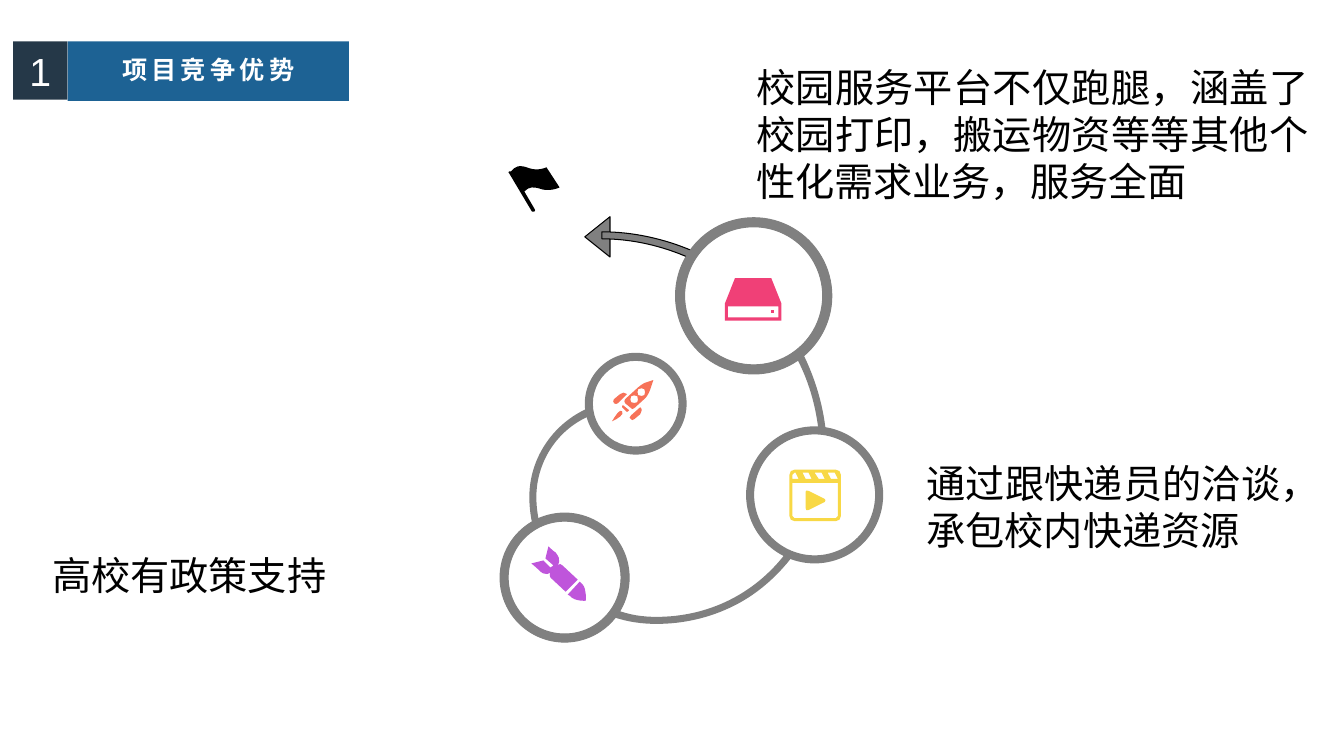
from lxml.etree import SubElement
from pptx import Presentation
from pptx.dml.color import RGBColor
from pptx.enum.shapes import MSO_SHAPE as Preset
from pptx.enum.text import MSO_ANCHOR as Anchor, MSO_AUTO_SIZE as AutoSize, PP_ALIGN as Align
from pptx.oxml.ns import qn
from pptx.util import Inches, Pt

COLORS = {
    "blue": "1D6294", "navy": "253848", "white": "FFFFFF", "black": "000000",
    "gray": "808080", "orange": "F77258", "purple": "BF55DB",
    "yellow": "F8D845", "pink": "F04077",
}
LATIN, HAN = "Arial", "Noto Sans CJK SC"

LINKS = [
    (0.29, 1.91, "M 3 114 C 1 105 0 96 0 87 C 0 50 22 16 56 0 L 59 7 "
                 "C 27 21 7 53 7 87 C 7 96 8 104 10 113 Z"),
    (1.12, 3.33, "M 43 71 C 29 71 14 69 0 64 L 3 57 C 16 62 29 64 43 64 "
                 "C 95 64 141 41 172 0 L 178 4 C 162 25 142 42 120 53 C 96 65 70 71 43 71 Z"),
    (2.93, 1.35, "M 23 78 C 20 52 13 27 0 3 L 7 0 C 19 24 27 50 30 77 Z"),
]
ARROW = [
    "M 25 40 L 0 20 L 25 0 Z",
    "M 104 41 C 77 29 47 22 17 22 L 17 15 C 48 15 79 22 107 34 Z",
]
ROCKET = [
    "M 32 3 C 30 4 26 7 24 9 L 13 19 C 12 20 12 22 13 23 L 19 28 C 19 29 21 29 22 28 "
    "L 33 18 C 35 16 37 12 38 9 L 41 0 Z "
    "M 25 22 C 23 23 21 23 19 22 C 18 21 18 18 19 16 C 21 15 23 15 25 16 C 26 18 26 21 25 22 Z "
    "M 32 15 C 31 16 28 16 26 15 C 25 13 25 11 26 9 C 28 8 31 8 32 9 C 33 11 33 13 32 15 Z",
    "M 6 23 L 15 14 C 13 12 10 12 8 14 L 2 19 C 1 20 1 22 2 23 C 3 24 5 24 6 23 Z",
    "M 19 35 C 17 37 17 38 19 39 C 19 40 21 40 22 39 L 28 34 C 30 32 30 28 28 27 Z",
    "M 10 26 L 10 27 L 14 31 C 14 32 16 32 16 31 L 17 30 L 11 25 Z",
    "M 0 41 C 5 39 13 34 10 31 C 8 28 3 36 0 41 Z",
]
MISSILE = [
    "M 31 19 C 29 17 28 17 26 19 C 26 19 31 14 24 6 C 22 5 17 0 17 0 L 14 12 L 22 19 "
    "L 19 21 L 12 14 L 0 17 C 0 17 5 21 7 23 C 14 31 19 26 19 26 C 18 28 18 29 19 31 "
    "L 34 45 L 46 33 Z",
    "M 51 38 L 48 35 L 36 48 L 38 49 C 43 55 54 54 54 54 C 54 54 55 43 51 38 Z",
]
VIDEO = [
    "M 19 40 L 35 32 C 36 31 36 30 35 29 L 19 21 C 17 20 16 21 16 22 L 16 38 "
    "C 16 40 17 41 19 40 Z",
    "M 46 0 L 5 0 C 2 0 0 2 0 5 L 0 46 C 0 49 2 51 5 51 L 46 51 C 49 51 51 49 51 46 "
    "L 51 5 C 51 2 49 0 46 0 Z "
    "M 32 3 L 35 9 L 29 9 L 25 3 Z M 19 3 L 22 9 L 16 9 L 13 3 Z "
    "M 3 5 C 3 4 4 3 5 3 L 6 3 L 9 9 L 3 9 Z "
    "M 48 46 C 48 47 47 48 46 48 L 5 48 C 4 48 3 47 3 46 L 3 13 L 48 13 Z "
    "M 41 9 L 38 3 L 45 3 L 48 9 Z",
]
DRIVE = [
    "M 46 0 L 10 0 L 0 25 L 0 42 L 56 42 L 56 25 Z M 53 39 L 3 39 L 3 28 L 53 28 Z",
    "M 46 32 L 49 32 L 49 35 L 46 35 Z",
]
FLAG = [
    "M 38 3 C 38 3 30 7 21 4 C 11 0 7 2 3 7 C 2 6 2 6 1 7 C 0 7 0 9 1 9 L 23 46 "
    "C 23 47 24 47 25 47 L 26 47 C 27 46 27 45 26 44 L 16 27 C 21 22 25 22 34 25 "
    "C 43 27 51 23 51 23 Z",
]


def color(name):
    return RGBColor.from_string(COLORS[name])


def paint(shape, fill, line=None):
    shape.shadow.inherit = False
    shape.fill.solid()
    shape.fill.fore_color.rgb = color(fill)
    if line:
        shape.line.color.rgb = color(line)
        shape.line.width = Pt(0.75)
    else:
        shape.line.fill.background()


def trace(outline):
    contours = []
    for contour in outline.split("M")[1:]:
        values = [Inches(float(token) / 100) for token in contour.split() if token.isdigit()]
        contours.append(list(zip(values[::2], values[1::2])))
    return contours


def bend(shape, outline):
    segments = shape._element.iter(qn("a:lnTo"))
    corners = iter(list(segments))
    for command in outline.split():
        if command == "L":
            next(corners)
        elif command == "C":
            curve, *rest = [next(corners) for _ in range(3)]
            curve.tag = qn("a:cubicBezTo")
            for corner in rest:
                curve.extend(list(corner))
                corner.getparent().remove(corner)


def draw_outlines(page, left, top, outlines, fill, line=None):
    for outline in outlines:
        first, *holes = trace(outline)
        builder = page.shapes.build_freeform(*first[0])
        builder.add_line_segments(first[1:], close=True)
        for hole in holes:
            builder.move_to(*hole[0])
            builder.add_line_segments(hole[1:], close=True)
        shape = builder.convert_to_shape(Inches(left), Inches(top))
        bend(shape, outline)
        paint(shape, fill, line)


def write(box, text, size, font, ink, align, bold=False, spacing=None):
    frame = box.text_frame
    frame.word_wrap = True
    para = frame.paragraphs[0]
    para.alignment = align
    span = para.add_run()
    span.text = text
    span.font.size = Pt(size)
    span.font.name = font
    span.font.bold = bold
    span.font.color.rgb = color(ink)
    props = span.font._element
    SubElement(props, qn("a:ea")).set("typeface", HAN)
    if spacing:
        props.set("spc", str(spacing * 100))
    return para


def place(box, left, top, width, height):
    box.left, box.top = Inches(left), Inches(top)
    box.width, box.height = Inches(width), Inches(height)


def add_heading(page, left, top, number, text):
    title = page.shapes.title
    place(title, left + 0.54, top, 2.79, 0.59)
    paint(title, "blue")
    para = write(title, text, 18, HAN, "white", Align.CENTER, True, 3)
    para.line_spacing = 0.9
    badge = page.shapes.add_shape(Preset.RECTANGLE, Inches(left), Inches(top),
                                  Inches(0.54), Inches(0.58))
    paint(badge, "navy")
    write(badge, number, 28, LATIN, "white", Align.CENTER)
    for box in (title, badge):
        box.text_frame.auto_size = AutoSize.NONE
        box.text_frame.vertical_anchor = Anchor.MIDDLE


def add_ring(page, left, top, size, band, line=None):
    ring = page.shapes.add_shape(Preset.DONUT, Inches(left), Inches(top),
                                 Inches(size), Inches(size))
    ring.adjustments[0] = band / size
    paint(ring, "gray", line)


def add_journey(page, left, top):
    for x, y, outline in LINKS:
        draw_outlines(page, left + x, top + y, [outline], "gray")
    draw_outlines(page, left + 0.84, top, ARROW, "gray", "black")
    stops = [
        (0.84, 1.35, 1.01, 0.08, None, 0.27, 0.27, ROCKET, "orange"),
        (0, 2.94, 1.28, 0.08, "gray", 0.31, 0.33, MISSILE, "purple"),
        (2.44, 2.08, 1.36, 0.08, None, 0.43, 0.43, VIDEO, "yellow"),
        (1.74, 0.01, 1.55, 0.09, "gray", 0.49, 0.6, DRIVE, "pink"),
    ]
    for x, y, size, band, line, icon_x, icon_y, icon, fill in stops:
        add_ring(page, left + x, top + y, size, band, line)
        draw_outlines(page, left + x + icon_x, top + y + icon_y, icon, fill)
    draw_outlines(page, left + 0.08, top - 0.52, FLAG, "black")


def add_caption(page, left, top, width, height, text, font=HAN):
    box = page.shapes.add_textbox(Inches(left), Inches(top), Inches(width), Inches(height))
    write(box, text, 28, font, "black", Align.JUSTIFY)


def main():
    deck = Presentation()
    deck.slide_width, deck.slide_height = Inches(13.33), Inches(7.5)
    page = deck.slides.add_slide(deck.slide_layouts[5])
    add_journey(page, 4.96, 2.15)
    add_caption(page, 0.42, 5.42, 4.37, 0.57, "高校有政策支持", LATIN)
    add_caption(page, 9.09, 4.51, 4.1, 1.03, "通过跟快递员的洽谈，承包校内快递资源")
    add_caption(page, 7.4, 0.58, 5.68, 1.5,
                "校园服务平台不仅跑腿，涵盖了校园打印，搬运物资等等其他个性化需求业务，服务全面")
    add_heading(page, 0.13, 0.41, "1", "项目竞争优势")
    deck.save("out.pptx")


if __name__ == "__main__":
    main()
